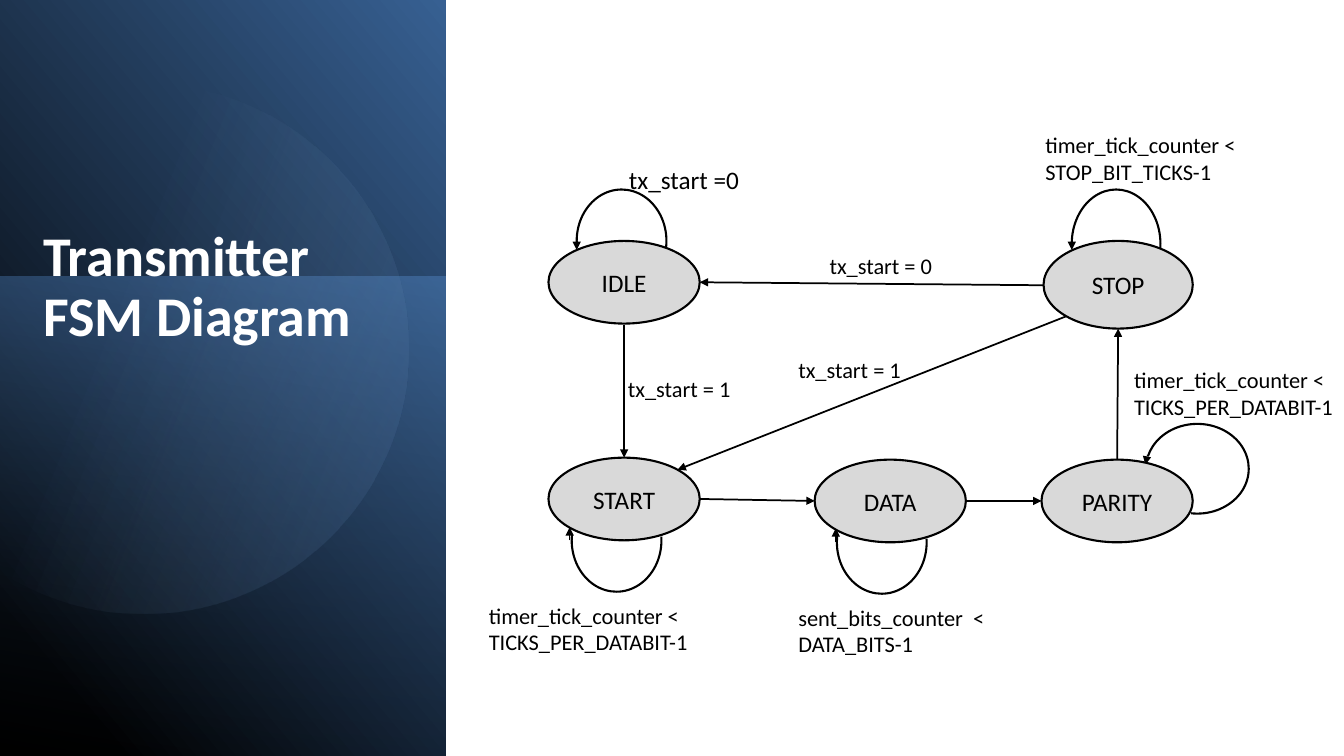
from dataclasses import dataclass
from math import cos, radians, sin

from lxml.etree import SubElement
from pptx import Presentation
from pptx.dml.color import RGBColor
from pptx.enum.shapes import MSO_CONNECTOR as Cxn, MSO_SHAPE as Shp
from pptx.enum.text import MSO_ANCHOR as Anchor, MSO_AUTO_SIZE as AutoSize, PP_ALIGN as Align
from pptx.oxml.ns import qn
from pptx.util import Inches, Pt

FONT = "Calibri"
BLACK, WHITE, GREY = "000000", "FFFFFF", "D9D9D9"
Point = tuple[float, float]
Box = tuple[float, float, float, float]
NARROW_ARC = (105.147, 4.756)
PARITY_ARC = (62.48, 4.756)


@dataclass
class Stop:
    pos: int
    color: str
    alpha: int = 100


@dataclass
class State:
    name: str
    box: Box
    loop: Box
    turn: int
    head: tuple[Point, Point]
    arc: tuple[float, float] = NARROW_ARC


@dataclass
class Transition:
    start: Point
    end: Point


@dataclass
class Label:
    text: str
    box: Box
    size: int = 16


STATES = [
    State("IDLE", (5.44, 2.39, 1.5, 0.82), (5.72, 1.88, 0.89, 1.02), 0,
          ((5.72, 2.34), (5.72, 2.48))),
    State("START", (5.44, 4.54, 1.5, 0.82), (5.67, 4.85, 0.89, 1.02), 180,
          ((5.65, 5.36), (5.65, 5.23))),
    State("DATA", (8.08, 4.56, 1.5, 0.82), (8.3, 4.87, 0.89, 1.02), 180,
          ((8.29, 5.38), (8.29, 5.24))),
    State("PARITY", (10.33, 4.56, 1.5, 0.82), (11.43, 4.14, 0.89, 1.02), 90,
          ((11.38, 4.51), (11.36, 4.61)), PARITY_ARC),
    State("STOP", (10.35, 2.39, 1.48, 0.87), (10.63, 1.88, 0.88, 1.08), 0,
          ((10.63, 2.34), (10.63, 2.48))),
]
TRANSITIONS = [
    Transition((6.19, 3.22), (6.19, 4.54)),
    Transition((6.94, 4.95), (8.08, 4.97)),
    Transition((9.58, 4.97), (10.33, 4.97)),
    Transition((11.08, 4.56), (11.09, 3.26)),
    Transition((10.35, 2.83), (6.94, 2.8)),
    Transition((10.57, 3.14), (6.72, 4.66)),
]
LABELS = [
    Label("tx_start =0", (6.14, 1.58, 1.43, 0.4), 18),
    Label("tx_start = 1", (6.13, 3.67, 1.44, 0.37)),
    Label("tx_start = 0", (8.13, 2.45, 1.36, 0.37)),
    Label("tx_start = 1", (7.82, 3.48, 1.36, 0.37)),
    Label("sent_bits_counter  < DATA_BITS-1", (7.82, 5.94, 2.81, 0.64)),
    Label("timer_tick_counter < TICKS_PER_DATABIT-1", (4.75, 5.92, 2.81, 0.64)),
    Label("timer_tick_counter < STOP_BIT_TICKS-1", (10.27, 1.25, 2.81, 0.64)),
    Label("timer_tick_counter < TICKS_PER_DATABIT-1", (11.15, 3.58, 2.81, 0.64)),
]


def rgb(color: str) -> RGBColor:
    return RGBColor.from_string(color)


def inches(values: tuple[float, ...]) -> list[Inches]:
    return [Inches(v) for v in values]


def add_run(p, text: str, size: int, color: str = BLACK, bold: bool = False) -> None:
    r = p.add_run()
    r.text = text
    r.font.name = FONT
    r.font.size = Pt(size)
    r.font.bold = bold
    r.font.color.rgb = rgb(color)


def fill_gradient(sp, stops: list[Stop], angle: int) -> None:
    """Fill with a linear gradient, its angle in clockwise degrees, and no outline."""
    sp.shadow.inherit = False
    sp.line.fill.background()
    sp.fill.gradient()
    grad = sp._element.spPr.find(qn("a:gradFill"))
    for child in list(grad):
        grad.remove(child)
    grad.set("rotWithShape", "1")
    stop_list = SubElement(grad, qn("a:gsLst"))
    for stop in stops:
        gs = SubElement(stop_list, qn("a:gs"), pos=str(stop.pos * 1000))
        clr = SubElement(gs, qn("a:srgbClr"), val=stop.color)
        SubElement(clr, qn("a:alpha"), val=str(stop.alpha * 1000))
    SubElement(grad, qn("a:lin"), ang=str(angle * 60000), scaled="0")


def add_panel(shapes) -> None:
    base = shapes.add_shape(Shp.RECTANGLE, *inches((-1.55, 1.55, 7.52, 4.42)))
    base.rotation = 90
    base._element.spPr.find(qn("a:xfrm")).set("flipH", "1")
    fill_gradient(base, [Stop(11, BLACK), Stop(100, "376092")], 310)

    glow = shapes.add_shape(Shp.RECTANGLE, *inches((-0.17, 2.91, 4.76, 4.42)))
    glow.rotation = 270
    fill_gradient(glow, [Stop(0, "4F81BD", 50), Stop(100, "254061", 0)], 190)

    # A disc cut by a chord, turned so that the chord lies on the slide's left edge
    cx, cy, radius, first, last, steps = 1.81, 3.93, 2.63, -224.5, 21.3, 120
    angles = [radians(first + (last - first) * i / steps) for i in range(steps + 1)]
    rim = [(Inches(cx + radius * cos(a)), Inches(cy + radius * sin(a))) for a in angles]
    builder = shapes.build_freeform(*rim[0])
    builder.add_line_segments(rim[1:], close=True)
    disc = builder.convert_to_shape()
    disc.rotation = 101.6
    fill_gradient(disc, [Stop(39, "95B3D7", 0), Stop(100, "376092", 26)], 280)


def add_title(shapes, text: str) -> None:
    tf = shapes.add_textbox(*inches((0.33, 2.21, 3.34, 3.86))).text_frame
    tf.word_wrap = True
    p = tf.paragraphs[0]
    p.line_spacing = 0.9
    p.space_after = Pt(6)
    add_run(p, text, 40, WHITE, True)


def add_arrow(shapes, start: Point, end: Point, width: float) -> None:
    line = shapes.add_connector(Cxn.STRAIGHT, *inches(start + end))
    line.line.color.rgb = rgb(BLACK)
    line.line.width = Pt(width)
    SubElement(line.line._get_or_add_ln(), qn("a:tailEnd"), type="triangle")
    SubElement(line._element.spPr, qn("a:effectLst"))


def add_state(shapes, state: State) -> None:
    """Group a state's ellipse with its self-loop."""
    group = shapes.add_group_shape().shapes
    loop = group.add_shape(Shp.ARC, *inches(state.loop))
    loop.adjustments[0], loop.adjustments[1] = state.arc
    loop.rotation = state.turn
    loop.fill.background()
    add_arrow(group, *state.head, 0.5)
    node = group.add_shape(Shp.OVAL, *inches(state.box))
    node.fill.solid()
    node.fill.fore_color.rgb = rgb(GREY)
    for sp in (loop, node):
        sp.shadow.inherit = False
        sp.line.color.rgb = rgb(BLACK)
        sp.line.width = Pt(1.5)
    tf = node.text_frame
    tf.vertical_anchor = Anchor.MIDDLE
    p = tf.paragraphs[0]
    p.alignment = Align.CENTER
    add_run(p, state.name, 18)


def add_label(shapes, label: Label) -> None:
    tf = shapes.add_textbox(*inches(label.box)).text_frame
    tf.word_wrap = True
    tf.auto_size = AutoSize.SHAPE_TO_FIT_TEXT
    add_run(tf.paragraphs[0], label.text, label.size)


def main() -> None:
    prs = Presentation()
    prs.slide_width, prs.slide_height = inches((13.33, 7.5))
    shapes = prs.slides.add_slide(prs.slide_layouts[6]).shapes
    add_panel(shapes)
    add_title(shapes, "Transmitter FSM Diagram")
    for state in STATES:
        add_state(shapes, state)
    for move in TRANSITIONS:
        add_arrow(shapes, move.start, move.end, 1.25)
    for label in LABELS:
        add_label(shapes, label)
    prs.save("out.pptx")


if __name__ == "__main__":
    main()
